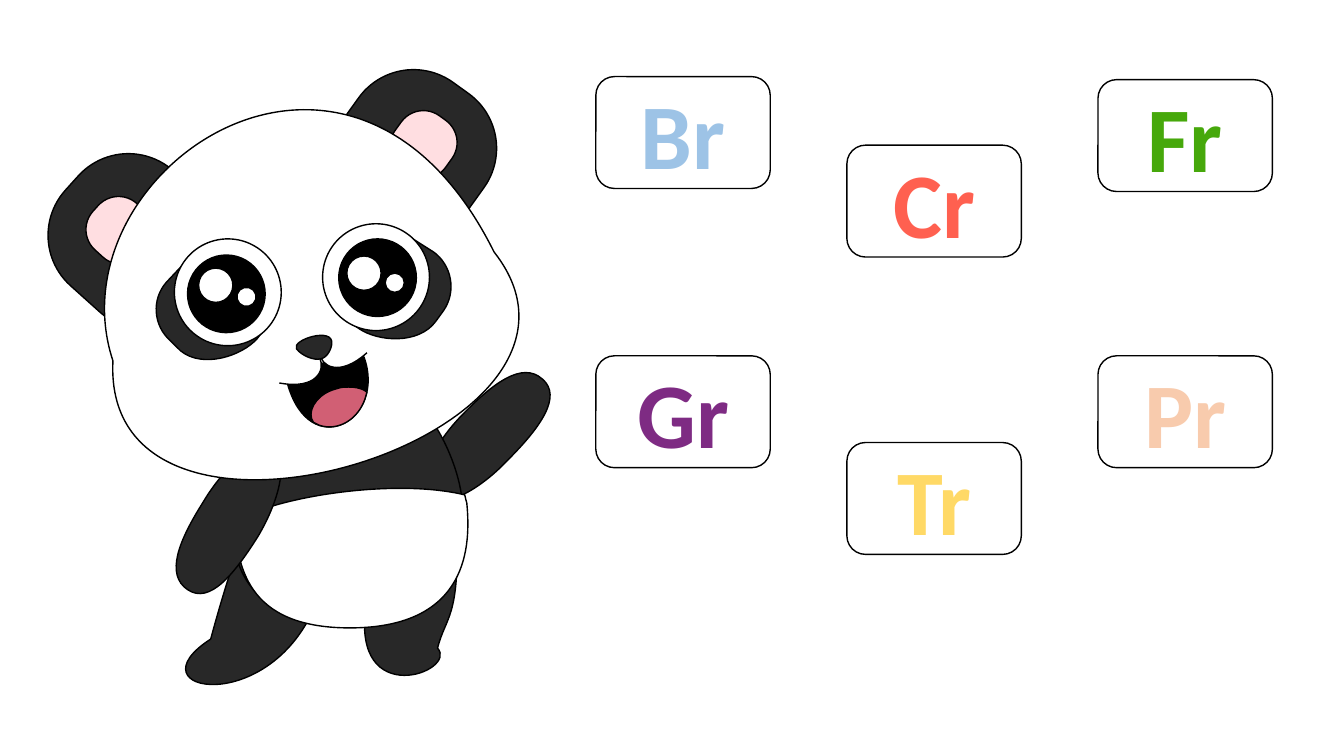
import math

from lxml import etree
from pptx import Presentation
from pptx.dml.color import RGBColor
from pptx.enum.shapes import MSO_SHAPE
from pptx.enum.text import MSO_ANCHOR, PP_ALIGN
from pptx.oxml.ns import qn
from pptx.util import Inches, Pt

ROUNDED = MSO_SHAPE.ROUNDED_RECTANGLE
OVAL = MSO_SHAPE.OVAL
MIDDLE = MSO_ANCHOR.MIDDLE
CENTER = PP_ALIGN.CENTER

BLACK = RGBColor(0x00, 0x00, 0x00)
WHITE = RGBColor(0xFF, 0xFF, 0xFF)
FUR = RGBColor(0x28, 0x28, 0x28)
EAR_PINK = RGBColor(0xFF, 0xDE, 0xE1)
TONGUE_PINK = RGBColor(0xD1, 0x5F, 0x74)
BLUE = RGBColor(0x9D, 0xC3, 0xE6)
GREEN = RGBColor(0x46, 0xA8, 0x0B)
YELLOW = RGBColor(0xFF, 0xD9, 0x66)
RED = RGBColor(0xFF, 0x60, 0x50)
PURPLE = RGBColor(0x7E, 0x2B, 0x83)
PEACH = RGBColor(0xF8, 0xCB, 0xAD)

CARD_SIZE = (1.73, 1.11)
CARDS = [
    ("Br", 5.91, 0.76, BLUE),
    ("Fr", 10.89, 0.79, GREEN),
    ("Tr", 8.4, 4.39, YELLOW),
    ("Cr", 8.4, 1.44, RED),
    ("Gr", 5.91, 3.53, PURPLE),
    ("Pr", 10.89, 3.53, PEACH),
]

RAISED_ARM = [(4.58, 4.12), (4.27, 4.44, 4.12, 4.81, 4.25, 4.93),
              (4.38, 5.05, 4.73, 4.89, 5.04, 4.56),
              (5.36, 4.24, 5.58, 3.93, 5.38, 3.76),
              (5.18, 3.58, 4.89, 3.8, 4.58, 4.12)]
LEFT_LEG = [(2.54, 4.87), (3.38, 5.32), (3.15, 5.95),
            (2.7, 7.14, 1.27, 6.87, 2.09, 6.34),
            (2.24, 5.78, 2.39, 5.36, 2.54, 4.87)]
RIGHT_LEG = [(3.74, 5.55), (4.53, 5.25),
             (4.56, 6.14, 4.42, 6.11, 4.34, 6.43),
             (4.55, 6.66, 3.48, 7.06, 3.63, 6.01), (3.74, 5.55)]
BODY = [(2.27, 4.94), (2.22, 4.53, 2.24, 3.66, 3.14, 3.75),
        (4.1, 3.42, 4.54, 4.53, 4.58, 4.94),
        (4.63, 5.34, 4.62, 6.17, 3.43, 6.17),
        (2.23, 6.17, 2.31, 5.34, 2.27, 4.94)]
BELLY = [(4.61, 4.91), (4.62, 4.94, 4.62, 4.97, 4.63, 4.99),
         (4.67, 5.4, 4.66, 6.23, 3.47, 6.23),
         (2.42, 6.23, 2.36, 5.59, 2.32, 5.16), (2.37, 5.13),
         (2.39, 5.13, 2.41, 5.12, 2.44, 5.12),
         (2.87, 4.91, 3.95, 4.75, 4.61, 4.91)]
LOWERED_ARM = [(2.01, 4.99), (2.24, 4.6, 2.55, 4.36, 2.7, 4.45),
               (2.86, 4.55, 2.79, 4.93, 2.56, 5.32),
               (2.32, 5.7, 2.08, 6, 1.86, 5.85),
               (1.64, 5.7, 1.77, 5.37, 2.01, 4.99)]
HEAD = [(1.12, 3.58), (0.5, 1.71, 3.48, -0.36, 4.9, 2.5),
        (6.34, 4.33, 1, 5.94, 1.12, 3.58)]
RIGHT_PATCH = [(4.3, 2.5), (4.48, 2.63, 4.53, 2.89, 4.4, 3.08), (4.32, 3.19),
               (4.15, 3.42, 3.75, 3.39, 3.56, 3.26),
               (3.5, 3.22, 3.49, 3.2, 3.43, 3.16),
               (3.25, 3.03, 3.33, 2.78, 3.46, 2.6), (3.54, 2.48),
               (3.67, 2.3, 3.93, 2.25, 4.11, 2.38), (4.3, 2.5)]
LEFT_PATCH = [(1.65, 2.8), (1.5, 2.97, 1.52, 3.23, 1.69, 3.38), (1.79, 3.48),
              (2.01, 3.66, 2.4, 3.53, 2.55, 3.36),
              (2.6, 3.3, 2.6, 3.28, 2.65, 3.23),
              (2.8, 3.06, 2.65, 2.84, 2.48, 2.69), (2.38, 2.6),
              (2.21, 2.45, 1.95, 2.47, 1.8, 2.64), (1.65, 2.8)]
MOUTH = [(2.85, 3.8), (3.07, 4.6, 3.84, 4.17, 3.61, 3.54),
         (3.04, 3.54, 3.27, 3.67, 2.85, 3.8)]
TONGUE = [(3.46, 3.84), (3.52, 3.84, 3.57, 3.85, 3.61, 3.87),
          (3.64, 3.89), (3.62, 3.96),
          (3.55, 4.16, 3.36, 4.28, 3.17, 4.22), (3.11, 4.19), (3.09, 4.15),
          (3.06, 4.04, 3.17, 3.9, 3.33, 3.86),
          (3.38, 3.84, 3.42, 3.84, 3.46, 3.84)]
LEFT_LIP = [(3.17, 3.55), (3.23, 3.67, 3.14, 3.87, 2.77, 3.8)]
RIGHT_LIP = [(3.17, 3.5), (3.18, 3.63, 3.36, 3.75, 3.64, 3.5)]
NOSE = [(2.94, 3.46), (2.89, 3.37, 3.31, 3.24, 3.29, 3.41),
        (3.29, 3.45, 3.25, 3.55, 3.18, 3.56),
        (3.12, 3.58, 2.99, 3.53, 2.94, 3.46)]

EYE_RINGS = [(1.06, WHITE), (0.77, BLACK), (0.34, WHITE), (0.19, WHITE)]
RIGHT_EYE = [(3.2, 2.22), (3.36, 2.37), (3.44, 2.54), (3.82, 2.71)]
LEFT_EYE = [(1.73, 2.37), (1.86, 2.53), (1.97, 2.66), (2.35, 2.85)]


def write_text(shape, text, *, font, size, color, bold):
    frame = shape.text_frame
    frame.word_wrap = True
    frame.vertical_anchor = MIDDLE
    para = frame.paragraphs[0]
    para.alignment = CENTER
    span = para.add_run()
    span.text = text
    span.font.name = font
    span.font.size = Pt(size)
    span.font.bold = bold
    span.font.color.rgb = color


class Painter:
    font = "Calibri"
    letter_size = 66
    line_width = Pt(1)

    def __init__(self, page):
        self.shapes = page.shapes

    def start_group(self):
        self.shapes = self.shapes.add_group_shape().shapes

    def finish(self, shape, fill, rotation):
        shape.rotation = rotation
        shape.shadow.inherit = False
        if fill is None:
            shape.fill.background()
        else:
            shape.fill.solid()
            shape.fill.fore_color.rgb = fill
        shape.line.color.rgb = BLACK
        shape.line.width = self.line_width
        return shape

    def preset(self, kind, place, size, fill=None, rotation=0, rounding=None):
        lengths = [Inches(value) for value in (*place, *size)]
        shape = self.shapes.add_shape(kind, *lengths)
        if rounding is not None:
            shape.adjustments[0] = rounding
        return self.finish(shape, fill, rotation)

    def outline(self, segments, bounds, fill, rotation=0, close=True):
        left, top, width, height = bounds
        right, bottom = left + width, top + height
        corners = [(left, top), (right, top), (right, bottom), (left, bottom)]
        corners = [(Inches(x), Inches(y)) for x, y in corners]
        builder = self.shapes.build_freeform(*corners[0])
        builder.add_line_segments(corners[1:], close=close)
        shape = builder.convert_to_shape()
        contour = shape._element.xpath(".//a:path")[0]
        for child in list(contour):
            contour.remove(child)
        cosine, sine = math.cos(math.radians(rotation)), math.sin(math.radians(rotation))
        for index, segment in enumerate(segments):
            kind = "moveTo" if index == 0 else "lnTo" if len(segment) == 2 else "cubicBezTo"
            step = etree.SubElement(contour, qn(f"a:{kind}"))
            for x, y in zip(segment[::2], segment[1::2]):
                across, down = x - left - width / 2, y - top - height / 2
                local_x = across * cosine + down * sine + width / 2
                local_y = down * cosine - across * sine + height / 2
                etree.SubElement(step, qn("a:pt"), x=str(int(Inches(local_x))),
                                 y=str(int(Inches(local_y))))
        if close:
            etree.SubElement(contour, qn("a:close"))
        return self.finish(shape, fill, rotation)

    def card(self, text, left, top, color):
        box = self.preset(ROUNDED, (left, top), CARD_SIZE)
        write_text(box, text, font=self.font, size=self.letter_size, color=color, bold=True)

    def ear(self, rotation, outer, inner):
        self.preset(ROUNDED, outer, (1.53, 1.73), FUR, rotation, 0.438)
        self.preset(ROUNDED, inner, (0.62, 0.65), EAR_PINK, rotation, 0.438)

    def eye(self, places, rotation=0):
        for place, (diameter, fill) in zip(places, EYE_RINGS):
            self.preset(OVAL, place, (diameter, diameter), fill, rotation)


def main():
    deck = Presentation()
    deck.slide_width = Inches(13.33)
    deck.slide_height = Inches(7.5)
    painter = Painter(deck.slides.add_slide(deck.slide_layouts[6]))
    for card in CARDS:
        painter.card(*card)
    painter.start_group()
    painter.outline(RAISED_ARM, (4.49, 3.53, 0.64, 1.63), FUR, 223.9)
    painter.outline(LEFT_LEG, (1.84, 4.87, 1.54, 1.92), FUR)
    painter.outline(RIGHT_LEG, (3.61, 5.25, 0.92, 1.45), FUR)
    painter.outline(BODY, (2.25, 3.69, 2.35, 2.48), FUR)
    painter.outline(BELLY, (2.36, 4.87, 2.31, 1.36), WHITE, 354.4)
    painter.outline(LOWERED_ARM, (1.96, 4.34, 0.64, 1.63), FUR, 31.2)
    painter.ear(35.7, (3.3, 0.71), (3.89, 1.11))
    painter.ear(312, (0.59, 1.53), (0.88, 1.96))
    painter.outline(HEAD, (1.04, 1.09, 4.11, 3.67), WHITE)
    painter.outline(RIGHT_PATCH, (3.39, 2.35, 1.04, 1.04), FUR, 124.6)
    painter.eye(RIGHT_EYE)
    painter.outline(MOUTH, (2.85, 3.54, 0.8, 0.69), BLACK)
    painter.outline(TONGUE, (3.08, 3.84, 0.56, 0.4), TONGUE_PINK)
    painter.outline(LEFT_LIP, (2.77, 3.55, 0.42, 0.26), WHITE, close=False)
    painter.outline(RIGHT_LIP, (3.19, 3.38, 0.42, 0.26), WHITE, 329.1, close=False)
    painter.outline(NOSE, (2.94, 3.33, 0.35, 0.24), FUR)
    painter.outline(LEFT_PATCH, (1.59, 2.54, 1.04, 1.04), FUR, 221.4)
    painter.eye(LEFT_EYE, 345.9)
    deck.save("out.pptx")


if __name__ == "__main__":
    main()
